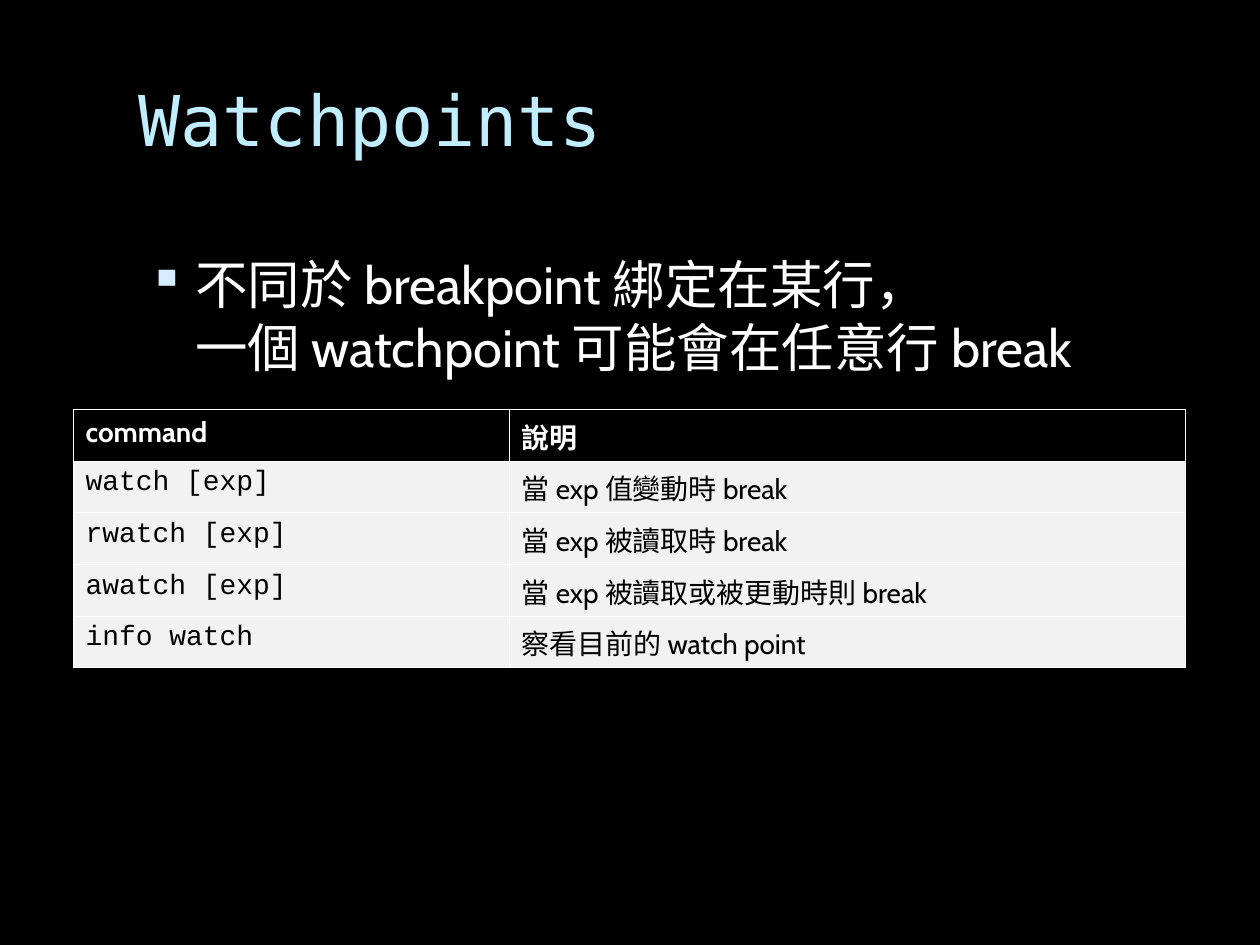
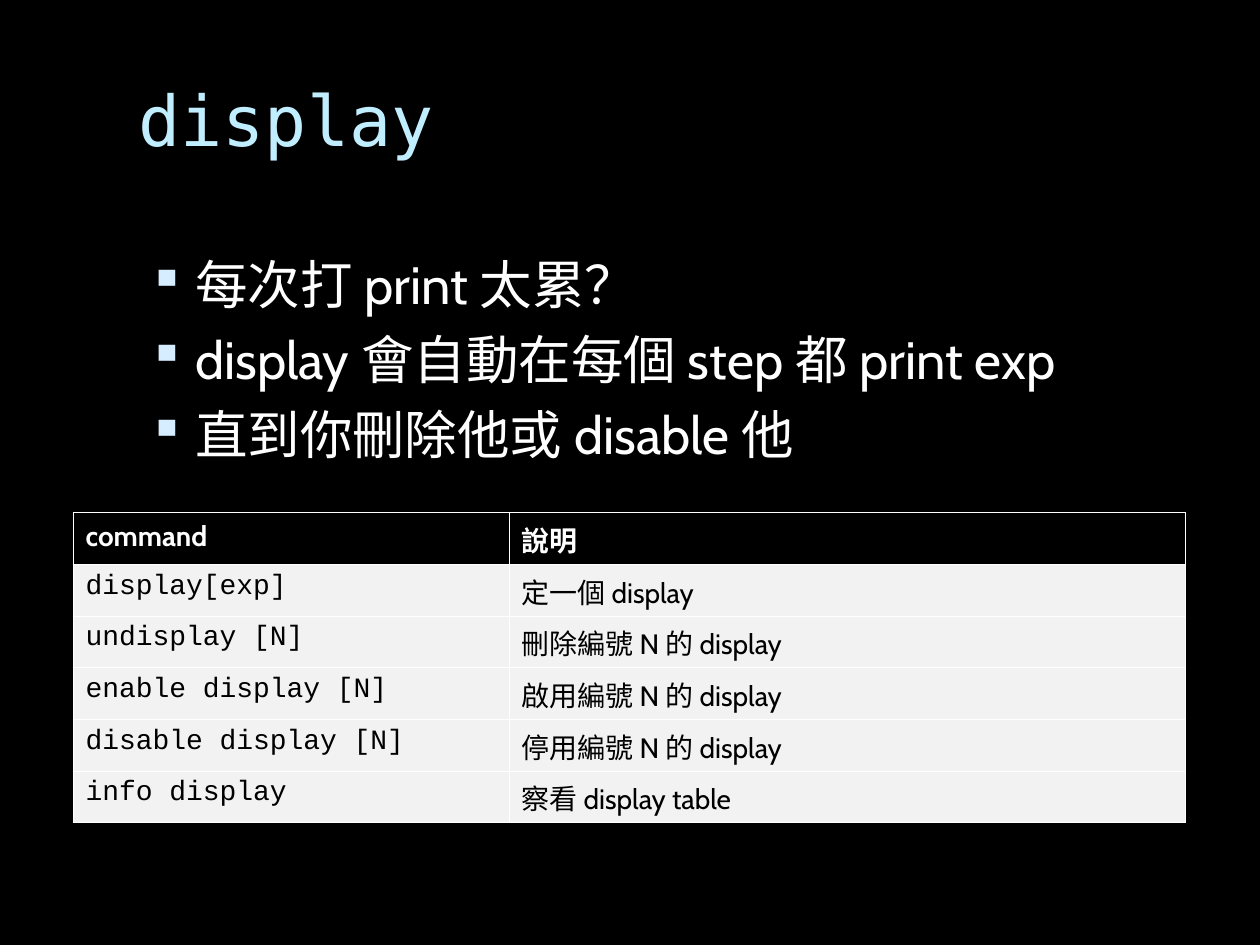
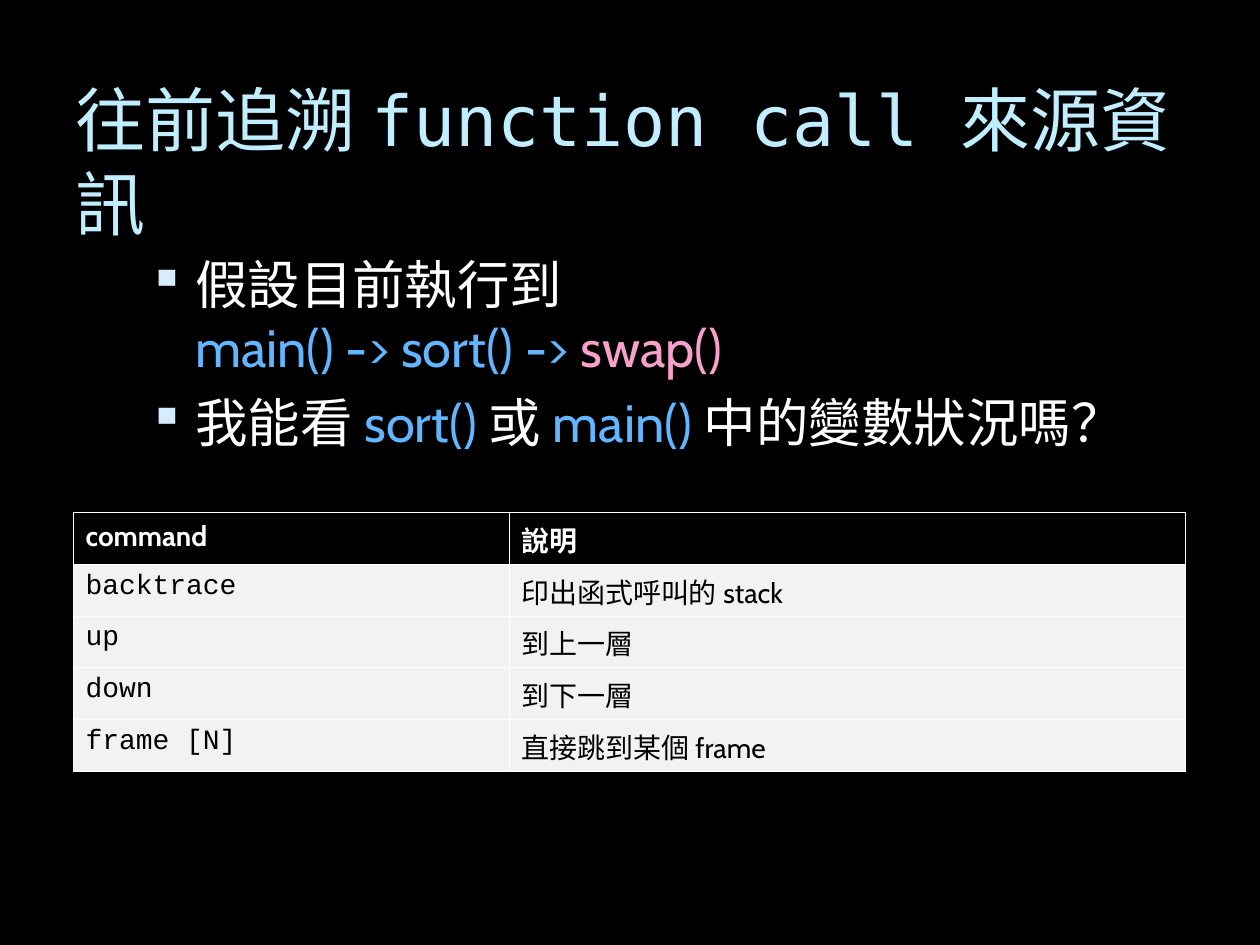
import lxml.etree
import pptx
import pptx.dml.color
import pptx.enum.text
import pptx.oxml.ns
import pptx.util

Inches = pptx.util.Inches
Pt = pptx.util.Pt

BLACK, WHITE, ROW_GREY = "000000", "FFFFFF", "F2F2F2"
TITLE_BLUE, BULLET_BLUE = "C1EEFF", "D6ECFF"
CALL_BLUE, CALL_PINK = "61B6FF", "F7A1CA"
TEXT_FONT, CODE_FONT, TITLE_FONT = "Cabin", "Courier New", "DejaVu Sans Mono"

TITLE_TOP, TITLE_HEIGHT = 0.56, 1
BODY_BOX = (1, 1.95, 8.5, 5)
TABLE_LEFT, ROW_HEIGHT = 0.58, 0.41
COLUMN_WIDTHS = (3.46, 5.37)
TABLE_HEADER = ("command", "說明")

# Each bullet is a list of lines; each line is a list of (text, colour) runs.
SLIDES = [
    {
        "title": "Watchpoints",
        "title_span": (1, 8.5),
        "bullets": [
            [
                [("不同於 breakpoint 綁定在某行，", WHITE)],
                [("一個 watchpoint 可能會在任意行 break", WHITE)],
            ],
        ],
        "table_top": 3.25,
        "commands": [
            ("watch [exp]", "當 exp 值變動時 break"),
            ("rwatch [exp]", "當 exp 被讀取時 break"),
            ("awatch [exp]", "當 exp 被讀取或被更動時則 break"),
            ("info watch", "察看目前的 watch point"),
        ],
    },
    {
        "title": "display",
        "title_span": (1, 8.5),
        "bullets": [
            [[("每次打 print 太累？", WHITE)]],
            [[("display 會自動在每個 step 都 print exp", WHITE)]],
            [[("直到你刪除他或 disable 他", WHITE)]],
        ],
        "table_top": 4.07,
        "commands": [
            ("display[exp]", "定一個 display"),
            ("undisplay [N]", "刪除編號 N 的 display"),
            ("enable display [N]", "啟用編號 N 的 display"),
            ("disable display [N]", "停用編號 N 的 display"),
            ("info display", "察看 display table"),
        ],
    },
    {
        "title": "往前追溯 function call 來源資訊",
        "title_span": (0.5, 9.17),
        "bullets": [
            [
                [("假設目前執行到", WHITE)],
                [("main() -> sort() -> ", CALL_BLUE), ("swap()", CALL_PINK)],
            ],
            [
                [
                    ("我能看 ", WHITE),
                    ("sort() ", CALL_BLUE),
                    ("或 ", WHITE),
                    ("main() ", CALL_BLUE),
                    ("中的變數狀況嗎？", WHITE),
                ],
            ],
        ],
        "table_top": 4.07,
        "commands": [
            ("backtrace", "印出函式呼叫的 stack"),
            ("up", "到上一層"),
            ("down", "到下一層"),
            ("frame [N]", "直接跳到某個 frame"),
        ],
    },
]


def paint(color_owner, hex_color):
    """Colour a font, or give a fill one solid colour."""
    if hasattr(color_owner, "solid"):
        color_owner.solid()
        color_owner = color_owner.fore_color
    else:
        color_owner = color_owner.color
    color_owner.rgb = pptx.dml.color.RGBColor.from_string(hex_color)


def add_element(parent, tag, **attributes):
    return lxml.etree.SubElement(parent, pptx.oxml.ns.qn(tag), attributes)


presentation = pptx.Presentation()
presentation.slide_width = Inches(10)
presentation.slide_height = Inches(7.5)
paint(presentation.slide_master.background.fill, BLACK)
title_only = presentation.slide_layouts.get_by_name("Title Only")

for content in SLIDES:
    slide = presentation.slides.add_slide(title_only)

    title = slide.shapes.title
    title_left, title_width = content["title_span"]
    title.left, title.width = Inches(title_left), Inches(title_width)
    title.top, title.height = Inches(TITLE_TOP), Inches(TITLE_HEIGHT)
    title.text_frame.text = content["title"]
    title.text_frame.auto_size = pptx.enum.text.MSO_AUTO_SIZE.NONE
    title.text_frame.vertical_anchor = pptx.enum.text.MSO_ANCHOR.TOP
    paragraph = title.text_frame.paragraphs[0]
    paragraph.alignment = pptx.enum.text.PP_ALIGN.LEFT
    paragraph.font.name, paragraph.font.size = TITLE_FONT, Pt(40)
    paint(paragraph.font, TITLE_BLUE)

    body = slide.shapes.add_textbox(*map(Inches, BODY_BOX)).text_frame
    body.word_wrap = True
    for bullet_index, lines in enumerate(content["bullets"]):
        paragraph = body.add_paragraph() if bullet_index else body.paragraphs[0]
        properties = paragraph._p.get_or_add_pPr()
        properties.set("marL", str(Inches(0.45)))
        properties.set("indent", str(Inches(-0.37)))
        bullet_color = add_element(properties, "a:buClr")
        add_element(bullet_color, "a:srgbClr", val=BULLET_BLUE)
        add_element(properties, "a:buSzPct", val="95000")
        add_element(properties, "a:buChar", char="▪")
        paragraph.space_before = Pt(7 if bullet_index else 0)
        paragraph.font.name, paragraph.font.size = TEXT_FONT, Pt(30)
        for line_index, line in enumerate(lines):
            if line_index:
                paragraph.add_line_break()
            for text, color in line:
                run = paragraph.add_run()
                run.text = text
                paint(run.font, color)

    rows = [TABLE_HEADER, *content["commands"]]
    table = slide.shapes.add_table(
        len(rows), len(COLUMN_WIDTHS),
        Inches(TABLE_LEFT), Inches(content["table_top"]),
        Inches(sum(COLUMN_WIDTHS)), Inches(ROW_HEIGHT * len(rows)),
    ).table
    for column, width in zip(table.columns, COLUMN_WIDTHS):
        column.width = Inches(width)
    for row_index, row in enumerate(rows):
        is_header = row_index == 0
        table.rows[row_index].height = Inches(ROW_HEIGHT)
        for column_index, text in enumerate(row):
            cell = table.cell(row_index, column_index)
            cell.text = text
            is_code = column_index == 0 and not is_header
            font = cell.text_frame.paragraphs[0].font
            font.name = CODE_FONT if is_code else TEXT_FONT
            font.size, font.bold = Pt(16), is_header
            paint(font, WHITE if is_header else BLACK)
            cell_properties = cell._tc.get_or_add_tcPr()
            for side in ("a:lnL", "a:lnR", "a:lnT", "a:lnB"):
                border = add_element(cell_properties, side, w=str(Pt(0.45)))
                border_fill = add_element(border, "a:solidFill")
                add_element(border_fill, "a:srgbClr", val=WHITE)
            paint(cell.fill, BLACK if is_header else ROW_GREY)

presentation.save("out.pptx")
